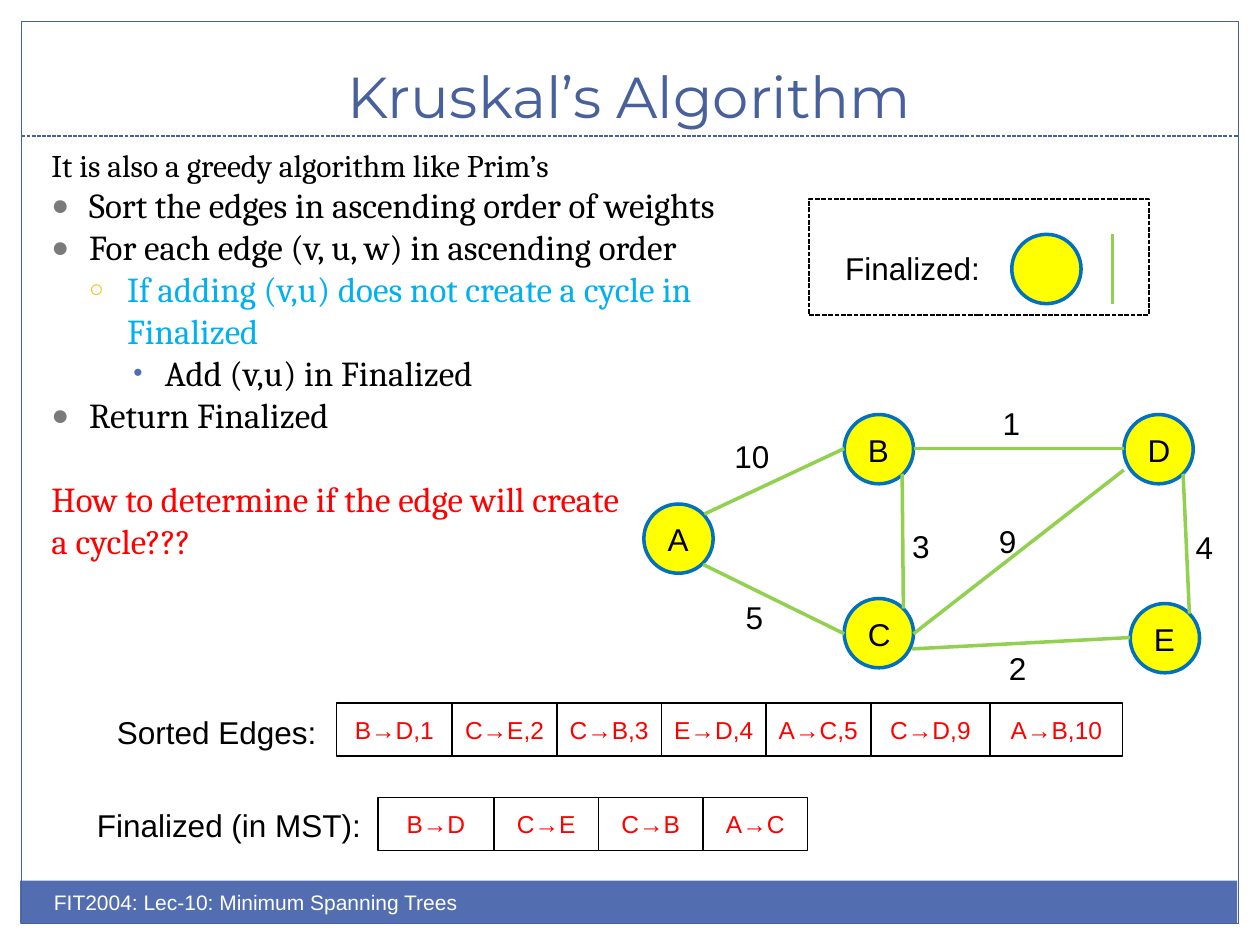
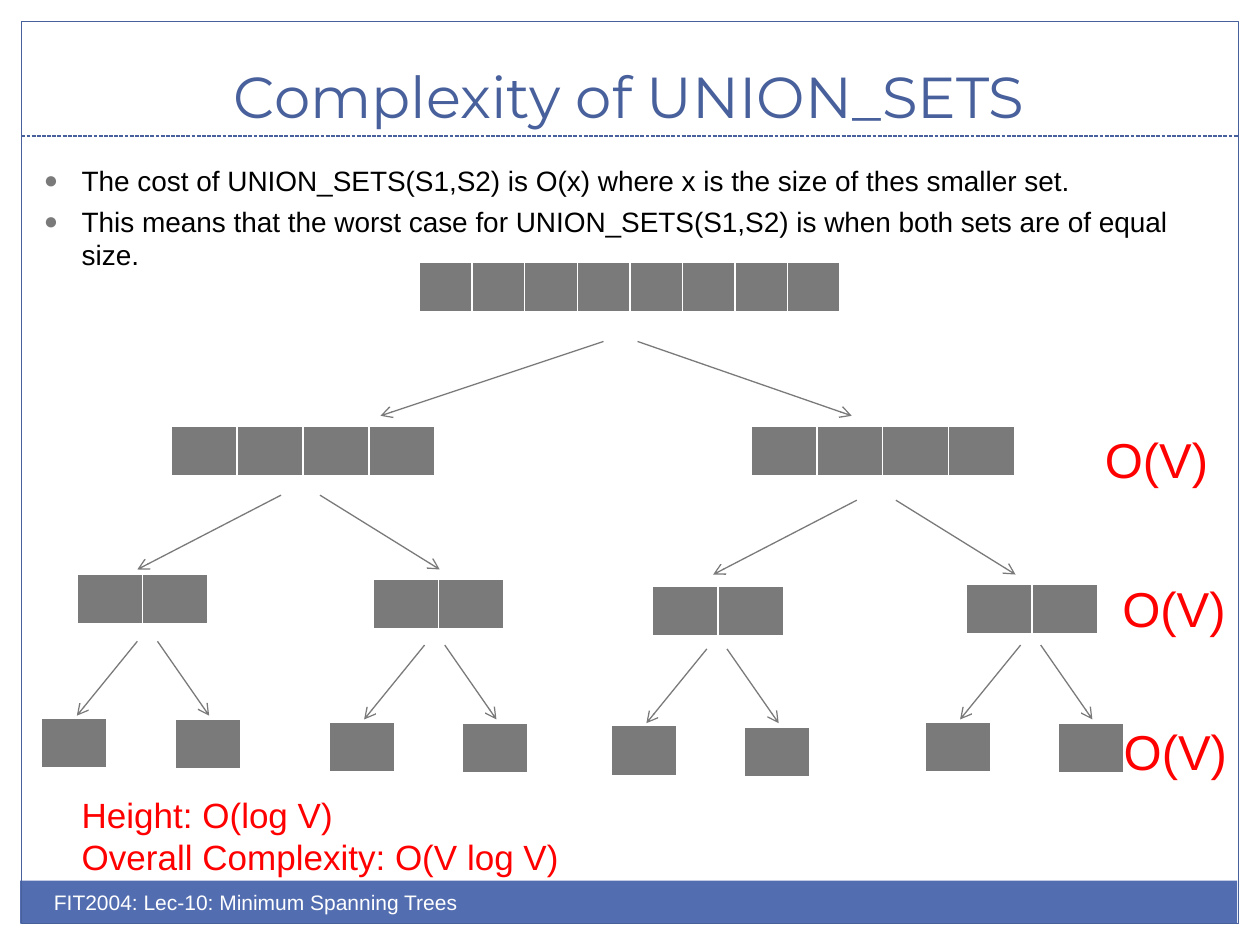
from dataclasses import dataclass
from itertools import accumulate
from typing import NamedTuple

from lxml.etree import SubElement
from pptx import Presentation
from pptx.dml.color import RGBColor
from pptx.enum.dml import MSO_LINE
from pptx.enum.shapes import MSO_CONNECTOR, MSO_SHAPE
from pptx.enum.text import MSO_ANCHOR, MSO_AUTO_SIZE, PP_ALIGN
from pptx.oxml.ns import qn
from pptx.util import Pt

EMU_PER_PX = 9144  # 100 px to the inch
SLIDE_WIDTH, SLIDE_HEIGHT = 1000, 750

BLACK, WHITE, RED = "000000", "FFFFFF", "FF0000"
GREY, BAND_BLUE, TITLE_BLUE = "7A7A7A", "526DB0", "48609B"
SKY_BLUE, NODE_BLUE = "00B0F0", "0070C0"
YELLOW, GOLD, GREEN = "FFFF00", "F5C201", "92D050"

FOOTER = "FIT2004: Lec-10: Minimum Spanning Trees"
NODE_SIZE = 55
CELL_HEIGHT = 42
SET_HEIGHT = 40


class Box(NamedTuple):
    left: int
    top: int
    width: int
    height: int


class Stroke(NamedTuple):
    color: str
    width: float
    dash: MSO_LINE | None = None


class Style(NamedTuple):
    size: int
    color: str = BLACK
    font: str = "Arial"


class Bullet(NamedTuple):
    char: str
    color: str
    percent: int
    margin: int
    hanging: int
    level: int = 0


@dataclass
class Line:
    text: str
    style: Style
    bullet: Bullet | None = None
    space_before: int = 0


class Node(NamedTuple):
    name: str
    left: int
    top: int


class Edge(NamedTuple):
    start: tuple[int, int]
    end: tuple[int, int]
    weight: str
    label_left: int
    label_top: int


class Fork(NamedTuple):
    """Two arrows that spread from neighbouring start points."""
    left_reach: int
    gap: int
    right_reach: int


LABEL = Style(18)
CELL_STYLE = Style(14, RED)
TITLE = Style(33, TITLE_BLUE, "Montserrat")
FRAME_STROKE = Stroke(TITLE_BLUE, 0.75)
NODE_STROKE = Stroke(NODE_BLUE, 2)
EDGE_STROKE = Stroke(GREEN, 2)
ARROW_STROKE = Stroke(GREY, 0.75)
CELL_STROKE = Stroke(BLACK, 1)

DISC = Bullet("●", GREY, 85, 30, 30)
RING = Bullet("○", GOLD, 70, 60, 30, 1)
DOT = Bullet("•", BAND_BLUE, 75, 90, 25, 2)

SET_WIDTHS = {1: 52, 2: 104, 4: 209, 8: 334}
BORDERS = {"a:lnL": 1, "a:lnR": 1, "a:lnT": 1, "a:lnB": 3}


def px(length: int) -> int:
    return length * EMU_PER_PX


def rgb(color: str) -> RGBColor:
    return RGBColor.from_string(color)


def set_attributes(target, values: dict) -> None:
    for name, value in values.items():
        setattr(target, name, value)


def set_stroke(line, stroke: Stroke) -> None:
    line.color.rgb = rgb(stroke.color)
    set_attributes(line, {"width": Pt(stroke.width), "dash_style": stroke.dash})


def add_bullet(paragraph, bullet: Bullet) -> None:
    paragraph.level = bullet.level
    properties = paragraph._p.get_or_add_pPr()
    properties.set("marL", str(px(bullet.margin)))
    properties.set("indent", str(-px(bullet.hanging)))
    color = SubElement(properties, qn("a:buClr"))
    SubElement(color, qn("a:srgbClr"), val=bullet.color)
    SubElement(properties, qn("a:buSzPct"), val=str(bullet.percent * 1000))
    SubElement(properties, qn("a:buFont"), typeface="Arial")
    SubElement(properties, qn("a:buChar"), char=bullet.char)


def write_lines(frame, lines: list[Line], align: PP_ALIGN) -> None:
    for index, line in enumerate(lines):
        paragraph = frame.add_paragraph() if index else frame.paragraphs[0]
        paragraph.alignment = align
        if line.bullet:
            add_bullet(paragraph, line.bullet)
        if line.space_before:
            paragraph.space_before = Pt(line.space_before)
        run = paragraph.add_run()
        run.text = line.text
        set_attributes(run.font, {"size": Pt(line.style.size), "name": line.style.font})
        run.font.color.rgb = rgb(line.style.color)


def add_text(slide, box: Box, lines: list[Line], align=PP_ALIGN.LEFT,
             anchor=MSO_ANCHOR.TOP, wrap: bool = True) -> None:
    frame = slide.shapes.add_textbox(*map(px, box)).text_frame
    fit = MSO_AUTO_SIZE.NONE if wrap else MSO_AUTO_SIZE.SHAPE_TO_FIT_TEXT
    set_attributes(frame, {"word_wrap": wrap, "auto_size": fit, "vertical_anchor": anchor})
    write_lines(frame, lines, align)


def add_label(slide, text: str, left: int, top: int, width: int = 34) -> None:
    add_text(slide, Box(left, top, width, 40), [Line(text, LABEL)], wrap=False)


def add_box(slide, box: Box, kind=MSO_SHAPE.RECTANGLE, fill: str | None = None,
            stroke: Stroke | None = None):
    shape = slide.shapes.add_shape(kind, *map(px, box))
    shape.shadow.inherit = False
    if fill:
        shape.fill.solid()
        shape.fill.fore_color.rgb = rgb(fill)
    else:
        shape.fill.background()
    if stroke:
        set_stroke(shape.line, stroke)
    else:
        shape.line.fill.background()
    return shape


def add_line(slide, start: tuple[int, int], end: tuple[int, int], stroke: Stroke,
             arrow: bool = False) -> None:
    connector = slide.shapes.add_connector(
        MSO_CONNECTOR.STRAIGHT, *map(px, (*start, *end)))
    set_stroke(connector.line, stroke)
    if arrow:
        SubElement(connector.line._get_or_add_ln(), qn("a:tailEnd"), type="arrow")
    SubElement(connector._element.spPr, qn("a:effectLst"))


def add_base_slide(presentation, title: str):
    """Add a slide with the shared frame, title and footer band."""
    slide = presentation.slides.add_slide(presentation.slide_layouts[6])
    add_box(slide, Box(16, 699, 966, 34), fill=BAND_BLUE)
    add_box(slide, Box(17, 17, 966, 716), stroke=FRAME_STROKE)
    add_line(slide, (17, 108), (983, 108), FRAME_STROKE._replace(dash=MSO_LINE.SQUARE_DOT))
    add_text(slide, Box(33, 25, 933, 83), [Line(title, TITLE)],
             PP_ALIGN.CENTER, MSO_ANCHOR.BOTTOM)
    add_text(slide, Box(33, 701, 500, 40), [Line(FOOTER, Style(12, WHITE))])
    return slide


def add_node(slide, left: int, top: int, name: str = "") -> None:
    add_box(slide, Box(left, top, NODE_SIZE, NODE_SIZE), MSO_SHAPE.OVAL, YELLOW, NODE_STROKE)
    if name:
        add_label(slide, name, left + 9, top + 8, 38)


def add_cell_row(slide, left: int, top: int, cells: dict[str, int]) -> None:
    lefts = accumulate(cells.values(), initial=left)
    for cell_left, (text, width) in zip(lefts, cells.items()):
        shape = add_box(slide, Box(cell_left, top, width, CELL_HEIGHT), stroke=CELL_STROKE)
        frame = shape.text_frame
        set_attributes(frame, {"word_wrap": False, "vertical_anchor": MSO_ANCHOR.MIDDLE})
        write_lines(frame, [Line(text, CELL_STYLE)], PP_ALIGN.CENTER)


def add_set(slide, left: int, top: int, size: int) -> None:
    """Draw a set as a one-row table with a cell per element."""
    box = Box(left, top, SET_WIDTHS[size], SET_HEIGHT)
    table = slide.shapes.add_table(1, size, *map(px, box)).table
    set_attributes(table, {"first_row": False, "horz_banding": False})
    for column, cell in zip(table.columns, table.rows[0].cells):
        column.width = px(box.width) // size
        properties = cell._tc.get_or_add_tcPr()
        for tag, width in BORDERS.items():
            border = SubElement(properties, qn(tag), w=str(Pt(width)))
            fill = SubElement(border, qn("a:solidFill"))
            SubElement(fill, qn("a:srgbClr"), val=WHITE)
        cell.fill.solid()
        cell.fill.fore_color.rgb = rgb(GREY)


def add_fork(slide, left: int, top: int, fork: Fork) -> None:
    bottom = top + 59
    add_line(slide, (left, top), (left - fork.left_reach, bottom), ARROW_STROKE, arrow=True)
    right = left + fork.gap
    add_line(slide, (right, top), (right + fork.right_reach, bottom), ARROW_STROKE, arrow=True)


def build_kruskal(presentation) -> None:
    slide = add_base_slide(presentation, "Kruskal’s Algorithm")
    body = Style(20, BLACK, "Cambria")
    question = body._replace(color=RED)
    add_text(slide, Box(31, 111, 611, 392), [
        Line("It is also a greedy algorithm like Prim’s", body._replace(size=18)),
        Line("Sort the edges in ascending order of weights", body, DISC),
        Line("For each edge (v, u, w) in ascending order", body, DISC),
        Line("If adding (v,u) does not create a cycle in Finalized",
             body._replace(color=SKY_BLUE), RING),
        Line("Add (v,u) in Finalized", body, DOT),
        Line("Return Finalized", body, DISC),
        Line("How to determine if the edge will create", question, space_before=24),
        Line("a cycle???", question),
    ])

    nodes = [Node("A", 511, 400), Node("B", 670, 329), Node("C", 670, 475),
             Node("D", 892, 329), Node("E", 897, 479)]
    for node in nodes:
        add_node(slide, node.left, node.top, node.name)
    edges = [
        Edge((559, 408), (670, 356), "10", 573, 342),
        Edge((558, 448), (670, 503), "5", 582, 470),
        Edge((725, 356), (892, 356), "1", 786, 316),
        Edge((944, 487), (939, 376), "4", 939, 414),
        Edge((725, 503), (892, 373), "9", 783, 409),
        Edge((717, 483), (716, 376), "3", 714, 413),
        Edge((724, 515), (897, 506), "2", 791, 510),
    ]
    for edge in edges:
        add_line(slide, edge.start, edge.end, EDGE_STROKE)
        add_label(slide, edge.weight, edge.label_left, edge.label_top,
                  20 + 14 * len(edge.weight))

    add_box(slide, Box(642, 158, 270, 92), stroke=Stroke(BLACK, 0.9, MSO_LINE.SQUARE_DOT))
    add_label(slide, "Finalized:", 661, 193, 128)
    add_node(slide, 803, 186)
    add_line(slide, (883, 186), (883, 241), EDGE_STROKE)

    add_label(slide, "Sorted Edges:", 83, 561, 180)
    add_cell_row(slide, 267, 558, {"B→D,1": 92, "C→E,2": 83, "C→B,3": 83, "E→D,4": 83,
                                   "A→C,5": 83, "C→D,9": 95, "A→B,10": 105})
    add_label(slide, "Finalized (in MST):", 67, 635, 232)
    add_cell_row(slide, 300, 633, {"B→D": 92, "C→E": 83, "C→B": 83, "A→C": 83})


def build_union_sets(presentation) -> None:
    slide = add_base_slide(presentation, "Complexity of UNION_SETS")
    body = Style(16)
    add_text(slide, Box(25, 125, 930, 150), [
        Line("The cost of UNION_SETS(S1,S2) is O(x) where x is the size of thes smaller set.",
             body, DISC),
        Line("This means that the worst case for UNION_SETS(S1,S2) is when both sets are of "
             "equal size.", body, DISC, space_before=4),
    ])

    add_set(slide, 333, 208, 8)
    add_fork(slide, 479, 271, Fork(177, 27, 170))
    for left in (136, 596):
        add_set(slide, left, 338, 4)
    for left, top in ((223, 393), (680, 397)):
        add_fork(slide, left, top, Fork(114, 31, 95))
    for left, top in ((61, 456), (296, 460), (518, 465), (767, 464)):
        add_set(slide, left, top, 2)
    for left, top in ((109, 509), (337, 512), (561, 515), (810, 512)):
        add_fork(slide, left, top, Fork(48, 16, 41))
        add_set(slide, left - 76, top + 61, 1)
        add_set(slide, left + 30, top + 62, 1)

    for left, top in ((867, 336), (881, 454), (882, 568)):
        add_text(slide, Box(left, top, 112, 57), [Line("O(V)", Style(28, RED))])
    summary = Style(20, RED)
    add_text(slide, Box(55, 625, 516, 77), [
        Line("Height: O(log V)", summary),
        Line("Overall Complexity: O(V log V)", summary),
    ])


def main() -> None:
    presentation = Presentation()
    set_attributes(presentation, {"slide_width": px(SLIDE_WIDTH),
                                  "slide_height": px(SLIDE_HEIGHT)})
    build_kruskal(presentation)
    build_union_sets(presentation)
    presentation.save("out.pptx")


if __name__ == "__main__":
    main()
